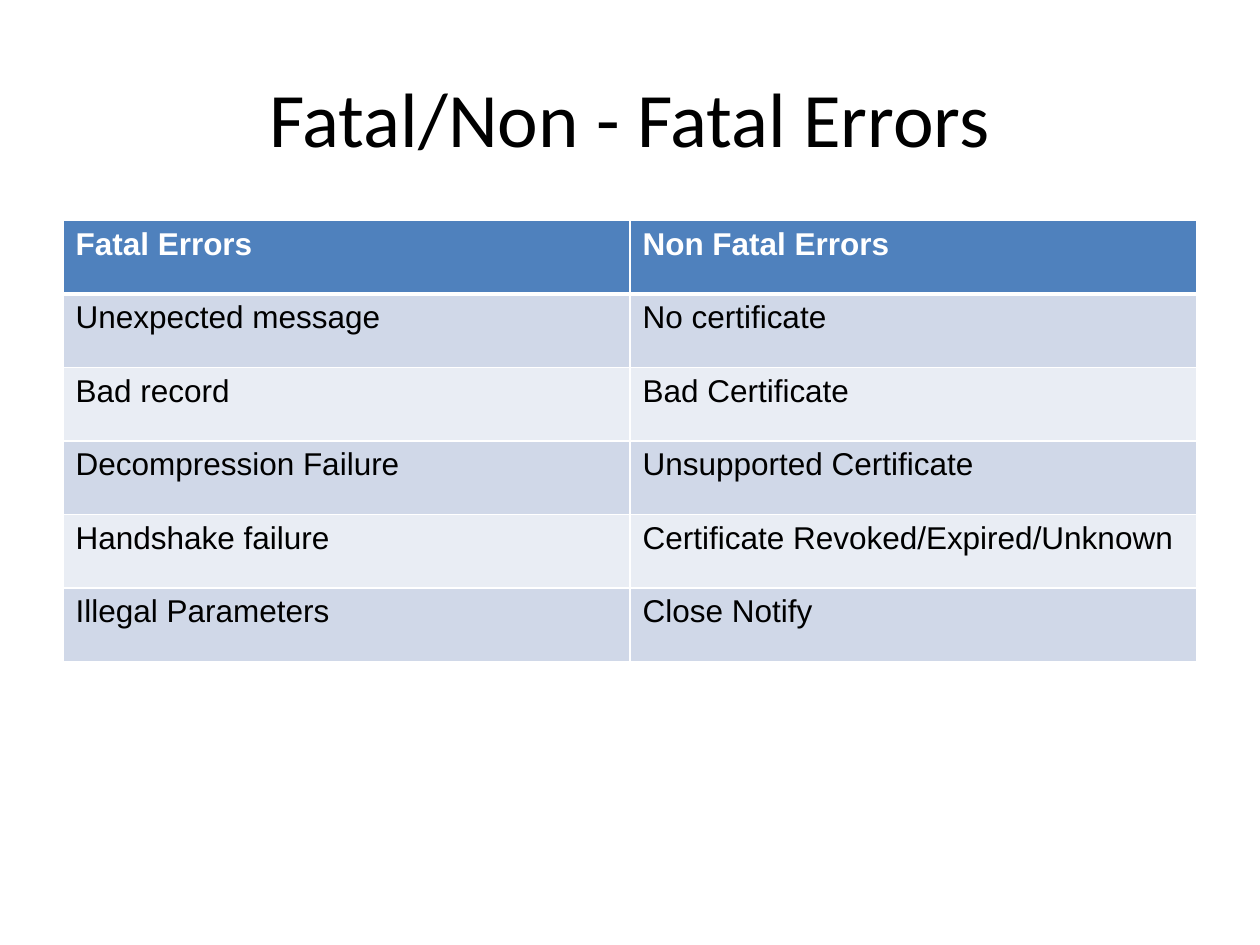
from lxml import etree
from pptx import Presentation
from pptx import util as u
from pptx.dml.color import RGBColor
from pptx.enum import text
from pptx.oxml.ns import qn

WIDTH, HEIGHT = u.Inches(10), u.Inches(7.5)
MARGIN = 0.05  # share of the slide's width

ERRORS = [
    ("Fatal Errors", "Non Fatal Errors"),
    ("Unexpected message", "No certificate"),
    ("Bad record", "Bad Certificate"),
    ("Decompression Failure", "Unsupported Certificate"),
    ("Handshake failure", "Certificate Revoked/Expired/Unknown"),
    ("Illegal Parameters", "Close Notify"),
]
WHITE, BLACK = "FFFFFF", "000000"
HEADER_FILL, BAND_FILLS = "4F81BD", ("E9EDF4", "D0D8E8")


def color(hex_string):
    return RGBColor.from_string(hex_string)


def add_run(paragraph, words, font, size, hex_string, bold=False):
    run = paragraph.add_run()
    run.text = words
    run.font.name = font
    run.font.size = u.Pt(size)
    run.font.bold = bold
    run.font.color.rgb = color(hex_string)


def set_title(slide, words):
    title = slide.shapes.title
    title.left, title.top = int(WIDTH * MARGIN), int(HEIGHT * 0.04)
    title.width, title.height = int(WIDTH * (1 - 2 * MARGIN)), u.Inches(1.25)
    title.text_frame.vertical_anchor = text.MSO_ANCHOR.MIDDLE
    paragraph = title.text_frame.paragraphs[0]
    paragraph.alignment = text.PP_ALIGN.CENTER
    add_run(paragraph, words, "Calibri", 44, BLACK)


def set_borders(cell, widths):
    """Draw white cell edges; widths maps each edge tag to points."""
    properties = cell._tc.get_or_add_tcPr()
    for position, (edge, points) in enumerate(widths.items()):
        line = etree.Element(qn(f"a:{edge}"), w=str(u.Pt(points)))
        fill = etree.SubElement(line, qn("a:solidFill"))
        etree.SubElement(fill, qn("a:srgbClr"), val=WHITE)
        properties.insert(position, line)


def fill_cell(cell, words, row):
    header = row == 0
    cell.fill.solid()
    cell.fill.fore_color.rgb = color(HEADER_FILL if header else BAND_FILLS[row % 2])
    set_borders(cell, {"lnL": 1, "lnR": 1,
                       "lnT": 3 if row == 1 else 1,
                       "lnB": 3 if header else 1})
    add_run(cell.text_frame.paragraphs[0], words, "Arial", 18,
            WHITE if header else BLACK, bold=header)


def add_error_table(slide, rows):
    frame = slide.shapes.add_table(
        len(rows), len(rows[0]), int(WIDTH * MARGIN), u.Inches(1.75),
        int(WIDTH * (1 - 2 * MARGIN)), u.Inches(3.5))
    for row, entries in enumerate(rows):
        for column, words in enumerate(entries):
            fill_cell(frame.table.cell(row, column), words, row)


def main():
    deck = Presentation()
    deck.slide_width, deck.slide_height = WIDTH, HEIGHT
    slide = deck.slides.add_slide(deck.slide_layouts[5])  # title only

    # Heading
    set_title(slide, "Fatal/Non - Fatal Errors")

    # Two-column comparison
    add_error_table(slide, ERRORS)

    deck.save("out.pptx")


if __name__ == "__main__":
    main()
